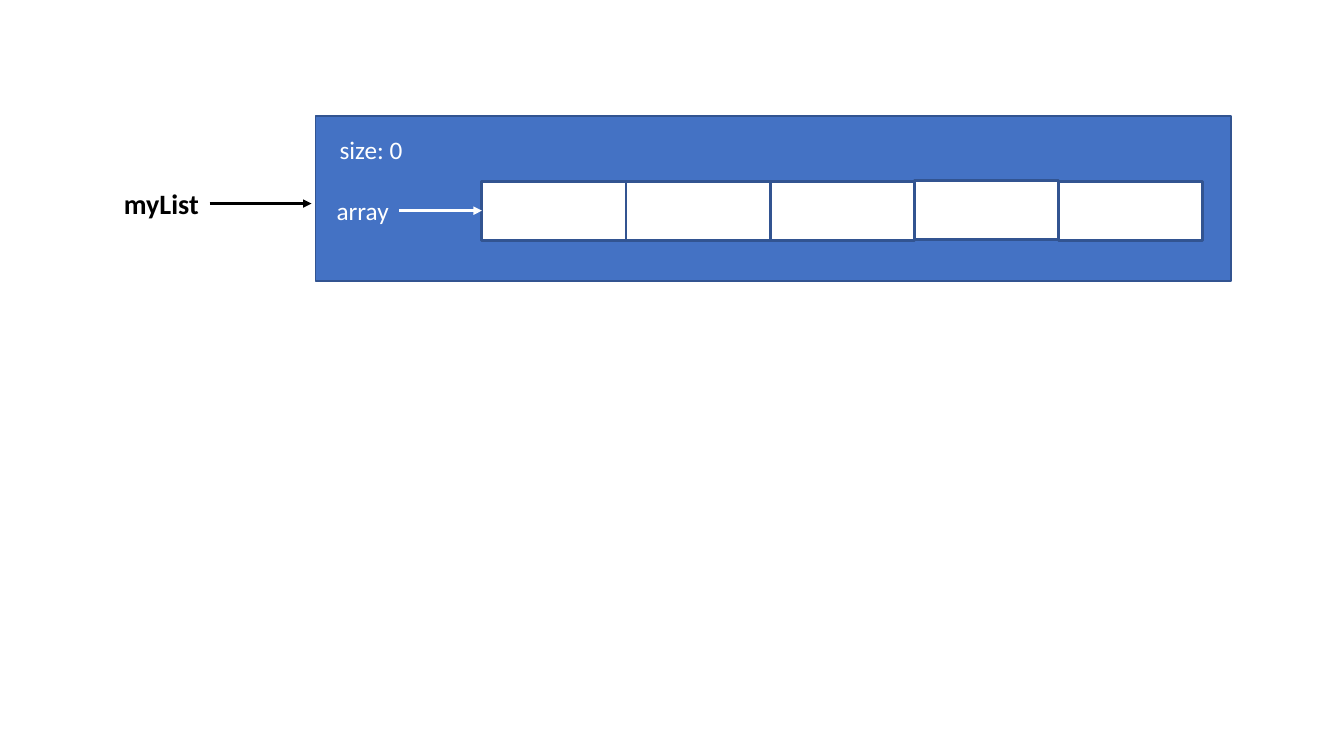
from dataclasses import dataclass
from lxml.etree import SubElement
from pptx import Presentation
from pptx.dml.color import RGBColor as Color
from pptx.enum.shapes import MSO_CONNECTOR as Link, MSO_SHAPE as Shape
from pptx.enum.text import MSO_AUTO_SIZE as Fit
from pptx.oxml.ns import qn
from pptx.util import Inches, Pt


@dataclass(frozen=True)
class Theme:
    font: str = "Calibri"
    name: int = 20
    field: int = 18
    blue: str = "4472C4"
    edge: str = "325491"
    white: str = "FFFFFF"
    black: str = "000000"


theme = Theme()

labels = [
    ("myList", (1.13, 1.8, 0.95, 0.44), theme.name, theme.black, True),
    ("size: 0", (3.27, 1.28, 0.83, 0.4), theme.field, theme.white, False),
    ("array", (3.24, 1.89, 0.72, 0.4), theme.field, theme.white, False),
]
arrows = [
    (3.96, 4.78, 2.09, theme.white),
    (2.08, 3.09, 2.02, theme.black),
]
frame = (3.13, 1.15, 9.08, 1.64)
tops = [1.8, 1.8, 1.8, 1.79, 1.8]
start, wide, high = 4.78, 1.43, 0.59

deck = Presentation()
deck.slide_width, deck.slide_height = Inches(13.33), Inches(7.5)
slide = deck.slides.add_slide(deck.slide_layouts[6])
shapes = slide.shapes


def add_box(area, fill, weight):
    box = shapes.add_shape(Shape.RECTANGLE, *map(Inches, area))
    box.shadow.inherit = False
    box.fill.solid()
    box.fill.fore_color.rgb = Color.from_string(fill)
    box.line.color.rgb = Color.from_string(theme.edge)
    box.line.width = Pt(weight)


def add_label(text, area, size, color, bold):
    frame = shapes.add_textbox(*map(Inches, area)).text_frame
    frame.word_wrap = False
    frame.auto_size = Fit.SHAPE_TO_FIT_TEXT
    line = frame.paragraphs[0]
    line.text = text
    font = line.font
    font.name, font.size, font.bold = theme.font, Pt(size), bold
    font.color.rgb = Color.from_string(color)


def add_arrow(left, right, y, color):
    ends = map(Inches, (left, y, right, y))
    arrow = shapes.add_connector(Link.STRAIGHT, *ends)
    arrow.line.color.rgb = Color.from_string(color)
    arrow.line.width = Pt(2)
    SubElement(arrow.line._get_or_add_ln(), qn("a:tailEnd"), type="triangle")
    SubElement(arrow._element.spPr, qn("a:effectLst"))


add_box(frame, theme.blue, 1)
for label in labels:
    add_label(*label)
for i, top in enumerate(tops):
    add_box((start + i * wide, top, wide, high), theme.white, 2)
for arrow in arrows:
    add_arrow(*arrow)

deck.save("out.pptx")
